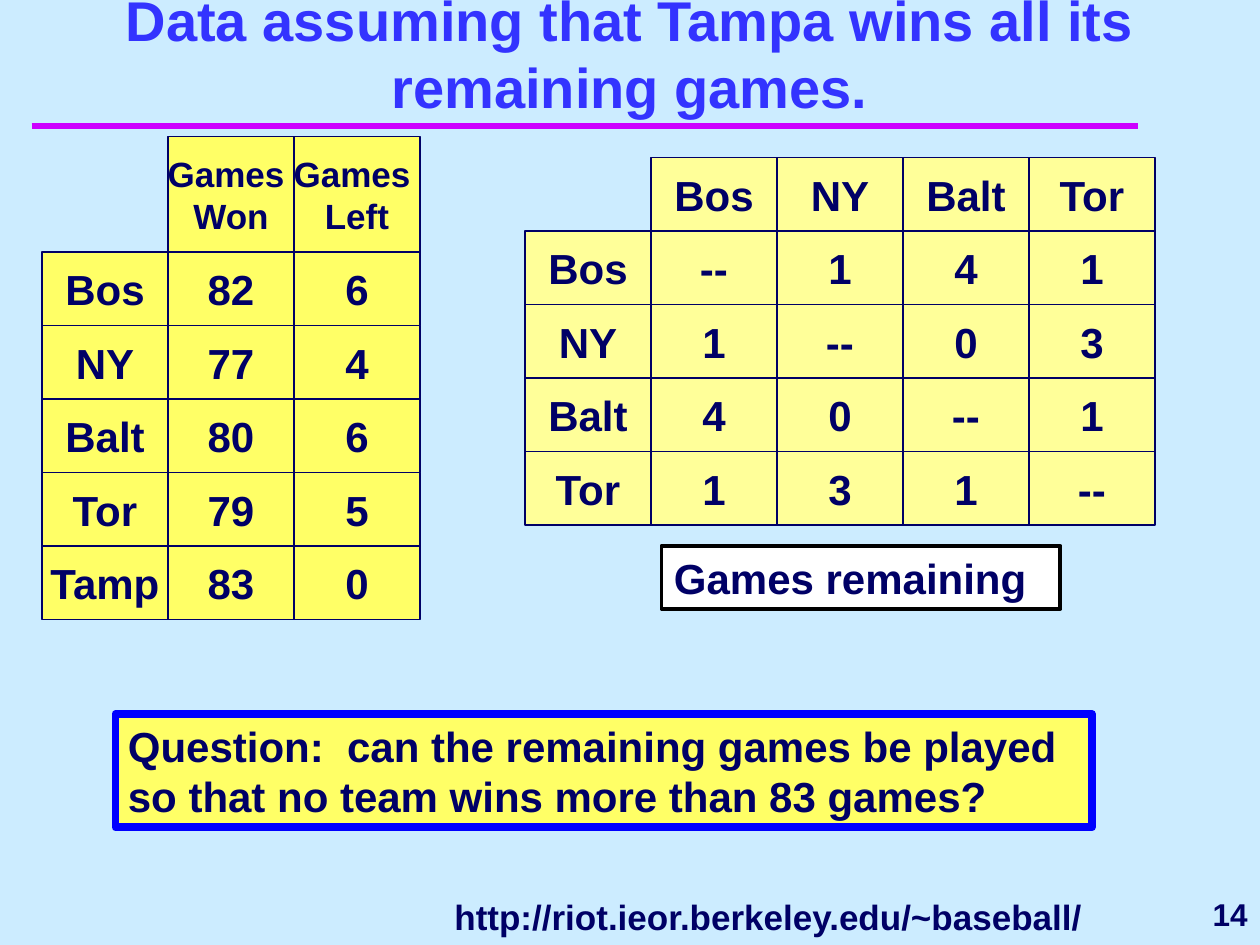
from pptx import Presentation
from pptx.dml.color import RGBColor
from pptx.enum.shapes import MSO_CONNECTOR, MSO_SHAPE
from pptx.enum.text import MSO_ANCHOR, PP_ALIGN
from pptx.oxml.ns import qn
from pptx.util import Inches, Pt
from lxml import etree

RECTANGLE = MSO_SHAPE.RECTANGLE
STRAIGHT = MSO_CONNECTOR.STRAIGHT
TOP, MIDDLE, BOTTOM = MSO_ANCHOR.TOP, MSO_ANCHOR.MIDDLE, MSO_ANCHOR.BOTTOM
LEFT, CENTER, RIGHT = PP_ALIGN.LEFT, PP_ALIGN.CENTER, PP_ALIGN.RIGHT

COLUMNS, ROWS = 120, 90
CELL_WIDTH, CELL_HEIGHT = 12, 7
NAVY, YELLOW = "000066", "FFFF66"


def color(value):
    return RGBColor.from_string(value)


class SlideBuilder:
    font = "Arial"

    def __init__(self, deck, background):
        self.column = deck.slide_width / COLUMNS
        self.row = deck.slide_height / ROWS
        self.slide = deck.slides.add_slide(deck.slide_layouts[6])
        fill = self.slide.background.fill
        fill.solid()
        fill.fore_color.rgb = color(background)

    def place(self, left, top, width, height):
        return (round(left * self.column), round(top * self.row),
                round(width * self.column), round(height * self.row))

    def letter(self, shape, words, size=24, ink=NAVY, align=LEFT, anchor=TOP, wrap=True):
        frame = shape.text_frame
        paragraph = frame.paragraphs[0]
        paragraph.text = words
        formats = {
            frame: {"word_wrap": wrap, "vertical_anchor": anchor},
            paragraph: {"alignment": align},
            paragraph.font: {"name": self.font, "size": Pt(size), "bold": True},
        }
        for target, values in formats.items():
            for name, value in values.items():
                setattr(target, name, value)
        paragraph.font.color.rgb = color(ink)

    def text(self, box, words, **style):
        self.letter(self.slide.shapes.add_textbox(*self.place(*box)), words, **style)

    def panel(self, box, words, fill, line, weight, parent=None, **style):
        shapes = (parent or self.slide).shapes
        panel = shapes.add_shape(RECTANGLE, *self.place(*box))
        panel.shadow.inherit = False
        panel.fill.solid()
        panel.fill.fore_color.rgb = color(fill)
        panel.line.color.rgb = color(line)
        panel.line.width = Pt(weight)
        self.letter(panel, words, **style)

    def rule(self, start, end, row, ink, weight):
        x, y, length, _ = self.place(start, row, end - start, 0)
        rule = self.slide.shapes.add_connector(STRAIGHT, x, y, x + length, y)
        rule.line.color.rgb = color(ink)
        rule.line.width = Pt(weight)
        etree.SubElement(rule._element.spPr, qn("a:effectLst"))

    def grid(self, left, top, header, body, fill, header_height=CELL_HEIGHT, header_size=24):
        group = self.slide.shapes.add_group_shape()
        for r, entries in enumerate([["", *header], *body]):
            height = CELL_HEIGHT if r else header_height
            size = 24 if r else header_size
            for c, entry in enumerate(entries):
                if entry:
                    box = (left + c * CELL_WIDTH, top, CELL_WIDTH, height)
                    self.panel(box, entry, fill, NAVY, 1, parent=group, size=size,
                               align=CENTER, anchor=MIDDLE, wrap=False)
            top += height


def main():
    deck = Presentation()
    deck.slide_width, deck.slide_height = Inches(10), Inches(7.5)
    page = SlideBuilder(deck, "CCECFF")

    page.rule(3, 108.4, 12, "CC00FF", 4)
    page.text((111, 84, 9, 6), "14", size=18, align=RIGHT, anchor=MIDDLE, wrap=False)
    page.text((0, 1, 120, 11), "Data assuming that Tampa wins all its remaining games.",
              size=32, ink="3333FF", align=CENTER, anchor=BOTTOM)
    page.panel((11, 68, 93, 10.8),
               "Question:  can the remaining games be played so that no team wins more than 83 games?",
               YELLOW, "0000FF", 4.5)

    standings = [
        ("Bos", "82", "6"),
        ("NY", "77", "4"),
        ("Balt", "80", "6"),
        ("Tor", "79", "5"),
        ("Tamp", "83", "0"),
    ]
    page.grid(4, 13, ["Games \nWon", "Games \nLeft"], standings, YELLOW,
              header_height=11, header_size=20)

    teams = ["Bos", "NY", "Balt", "Tor"]
    matchups = [
        ("Bos", "--", "1", "4", "1"),
        ("NY", "1", "--", "0", "3"),
        ("Balt", "4", "0", "--", "1"),
        ("Tor", "1", "3", "1", "--"),
    ]
    page.grid(50, 15, teams, matchups, "FFFF99")

    page.panel((63, 52, 38, 6), "Games remaining", "FFFFFF", "000000", 2.25)
    page.text((42.1, 84.7, 62.6, 5.3), "http://riot.ieor.berkeley.edu/~baseball/",
              size=20, wrap=False)
    deck.save("out.pptx")


if __name__ == "__main__":
    main()
